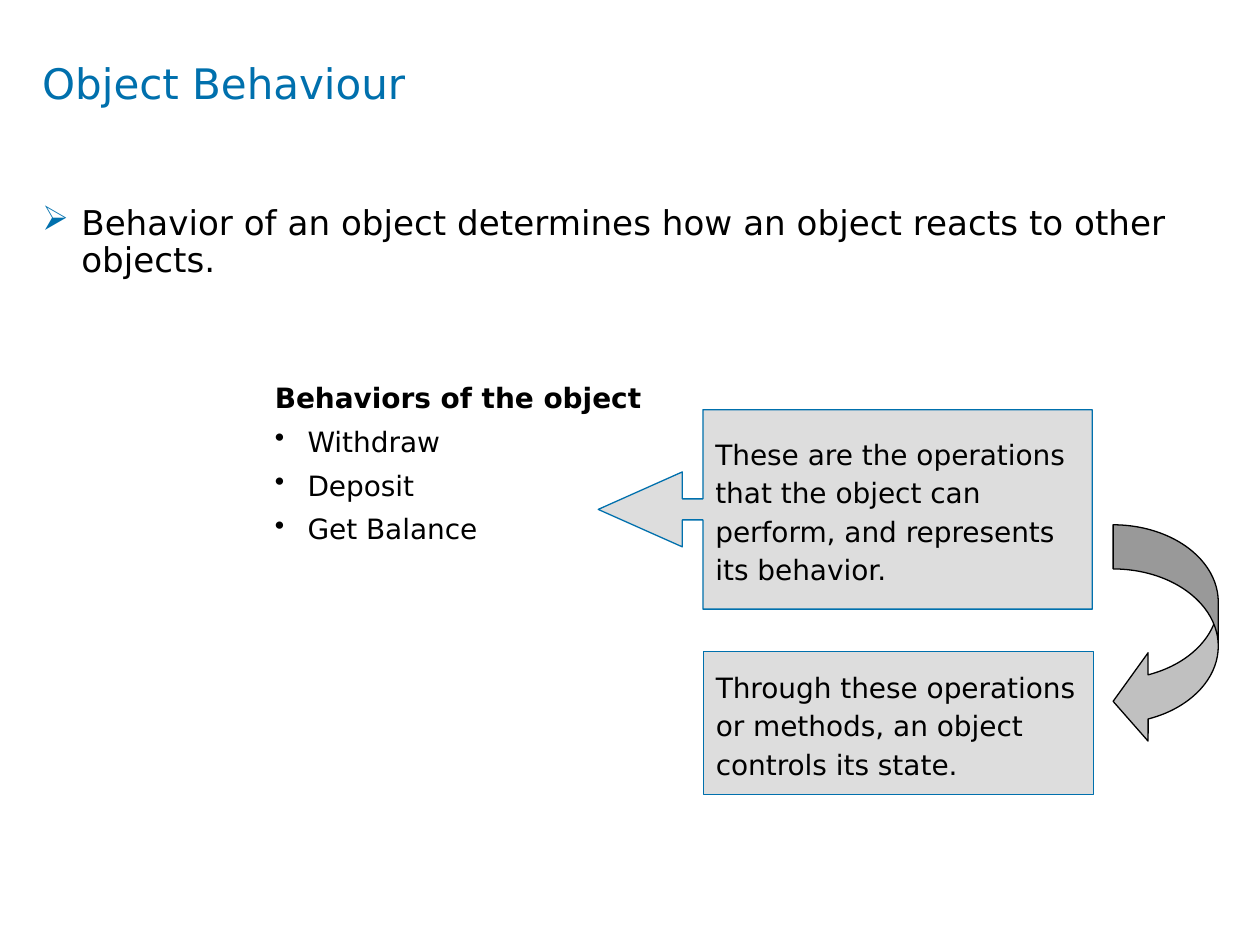
"""Build the Object Behaviour slide: a bullet, a list of behaviors and two linked notes."""
from lxml import etree
from pptx import Presentation
from pptx.dml.color import RGBColor
from pptx.enum.shapes import MSO_SHAPE
from pptx.enum.text import MSO_ANCHOR, MSO_AUTO_SIZE, PP_ALIGN
from pptx.oxml.ns import qn
from pptx.util import Cm, Pt

LEFT = PP_ALIGN.LEFT
TOP, MIDDLE = MSO_ANCHOR.TOP, MSO_ANCHOR.MIDDLE
GROW, FIXED = MSO_AUTO_SIZE.SHAPE_TO_FIT_TEXT, MSO_AUTO_SIZE.NONE
CALLOUT, RECT, CURVED = (
    MSO_SHAPE.LEFT_ARROW_CALLOUT, MSO_SHAPE.RECTANGLE, MSO_SHAPE.CURVED_LEFT_ARROW)
BLUE, BLACK, GREY, SILVER = "0070AD", "000000", "DDDDDD", "C0C0C0"


def color(value):
    return RGBColor.from_string(value)


def write(sp, lines, size, ink=BLACK, spacing=1.0, hang=0, bullet_color=BLACK, frame=None):
    tf = sp.text_frame
    for name, value in {"word_wrap": True, "vertical_anchor": TOP, **(frame or {})}.items():
        setattr(tf, name, value)
    for i, (mark, text, bold) in enumerate(lines):
        p = tf.add_paragraph() if i else tf.paragraphs[0]
        pPr = p._p.get_or_add_pPr()
        if hang:
            pPr.set("marL", str(Cm(hang)))
            pPr.set("indent", str(-Cm(hang)))
        if mark:
            clr = etree.SubElement(pPr, qn("a:buClr"))
            etree.SubElement(clr, qn("a:srgbClr"), val=bullet_color)
            etree.SubElement(pPr, qn("a:buChar"), char=mark)
        fmt = {"alignment": LEFT, "line_spacing": spacing, "space_before": Pt(2 if i else 0)}
        for name, value in fmt.items():
            setattr(p, name, value)
        r = p.add_run()
        r.text = text
        for name, value in {"name": "DejaVu Sans", "size": Pt(size), "bold": bold}.items():
            setattr(r.font, name, value)
        r.font.color.rgb = color(ink)


prs = Presentation()
prs.slide_width, prs.slide_height = Cm(25.4), Cm(19.05)
s = prs.slides.add_slide(prs.slide_layouts[6])

flush = {f"margin_{side}": 0 for side in ("left", "top", "right", "bottom")}
texts = [
    ((0.85, 1.15, 23.7, 2.4), [(None, "Object Behaviour", False)],
     {"size": 24, "ink": BLUE, "frame": flush}),
    ((0.85, 4.15, 23.7, 12.9),
     [("➢", "Behavior of an object determines how an object reacts to other objects.", False)],
     {"size": 19.5, "spacing": 0.9, "hang": 0.79, "bullet_color": BLUE, "frame": flush}),
    ((5.29, 7.41, 9.1, 3.73),
     [(None, "Behaviors of the object", True)]
     + [("•", name, False) for name in ("Withdraw", "Deposit", "Get Balance")],
     {"size": 16, "spacing": 1.2, "hang": 0.66, "frame": {"auto_size": GROW}}),
]
for box, lines, style in texts:
    sp = s.shapes.add_textbox(*map(Cm, box))
    write(sp, lines, **style)

shapes = [
    (CALLOUT, (12.06, 8.26, 9.96, 4.02), (0.105, 0.188, 0.422, 0.788), GREY, BLUE,
     "These are the operations that the object can perform, and represents its behavior."),
    (RECT, (14.18, 13.13, 7.87, 2.89), (), GREY, BLUE,
     "Through these operations or methods, an object controls its state."),
    (CURVED, (22.44, 10.58, 2.12, 4.45), (0.42, 0.84, 0.333), SILVER, BLACK, None),
]
for kind, box, adjustments, fill, line, text in shapes:
    sp = s.shapes.add_shape(kind, *map(Cm, box))
    for i, value in enumerate(adjustments):
        sp.adjustments[i] = value
    sp.shadow.inherit = False
    sp.fill.solid()
    sp.fill.fore_color.rgb = color(fill)
    sp.line.color.rgb = color(line)
    sp.line.width = Pt(0.75)
    if text:
        write(sp, [(None, text, False)], 16, spacing=1.15,
              frame={"vertical_anchor": MIDDLE, "auto_size": FIXED})

prs.save("out.pptx")
